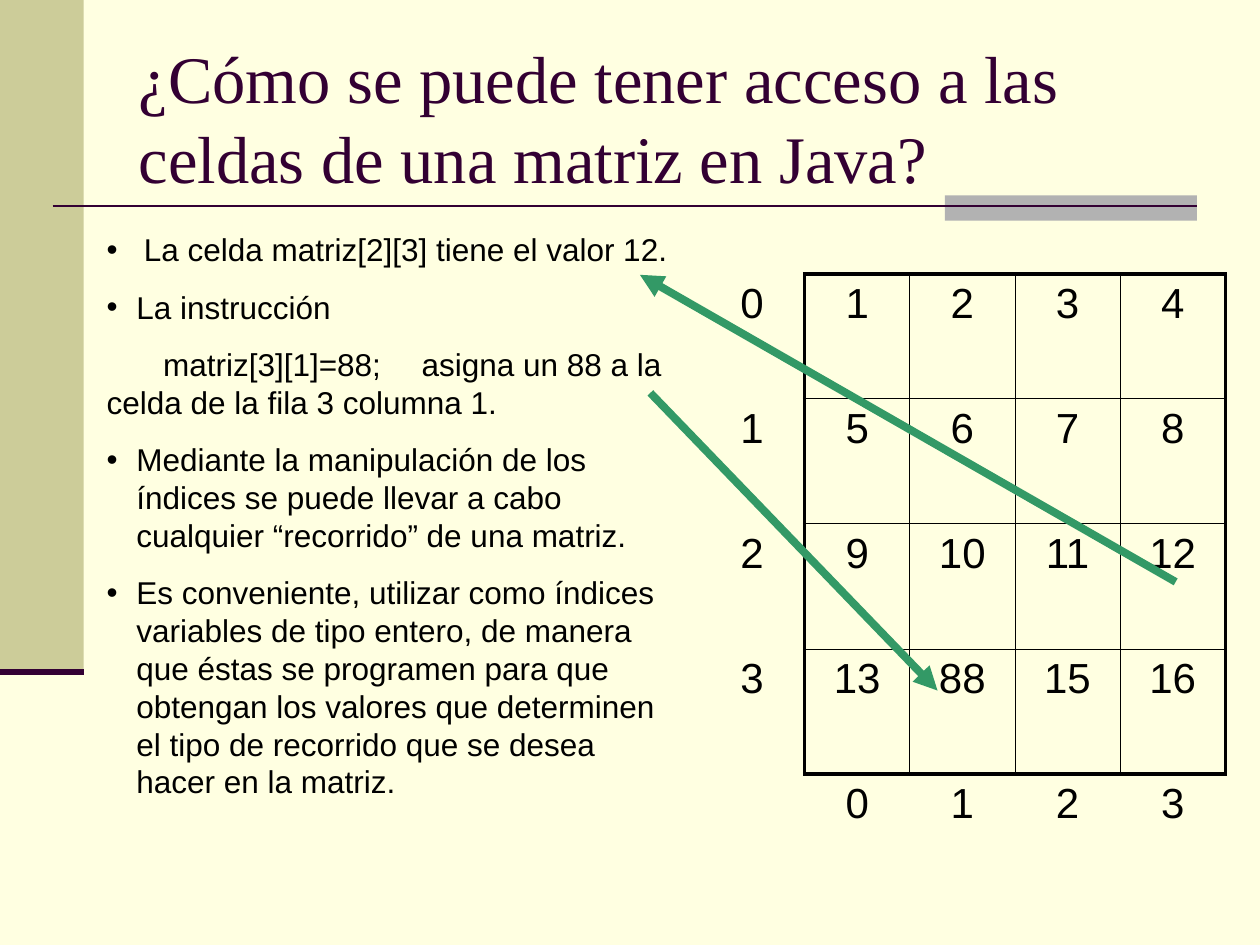
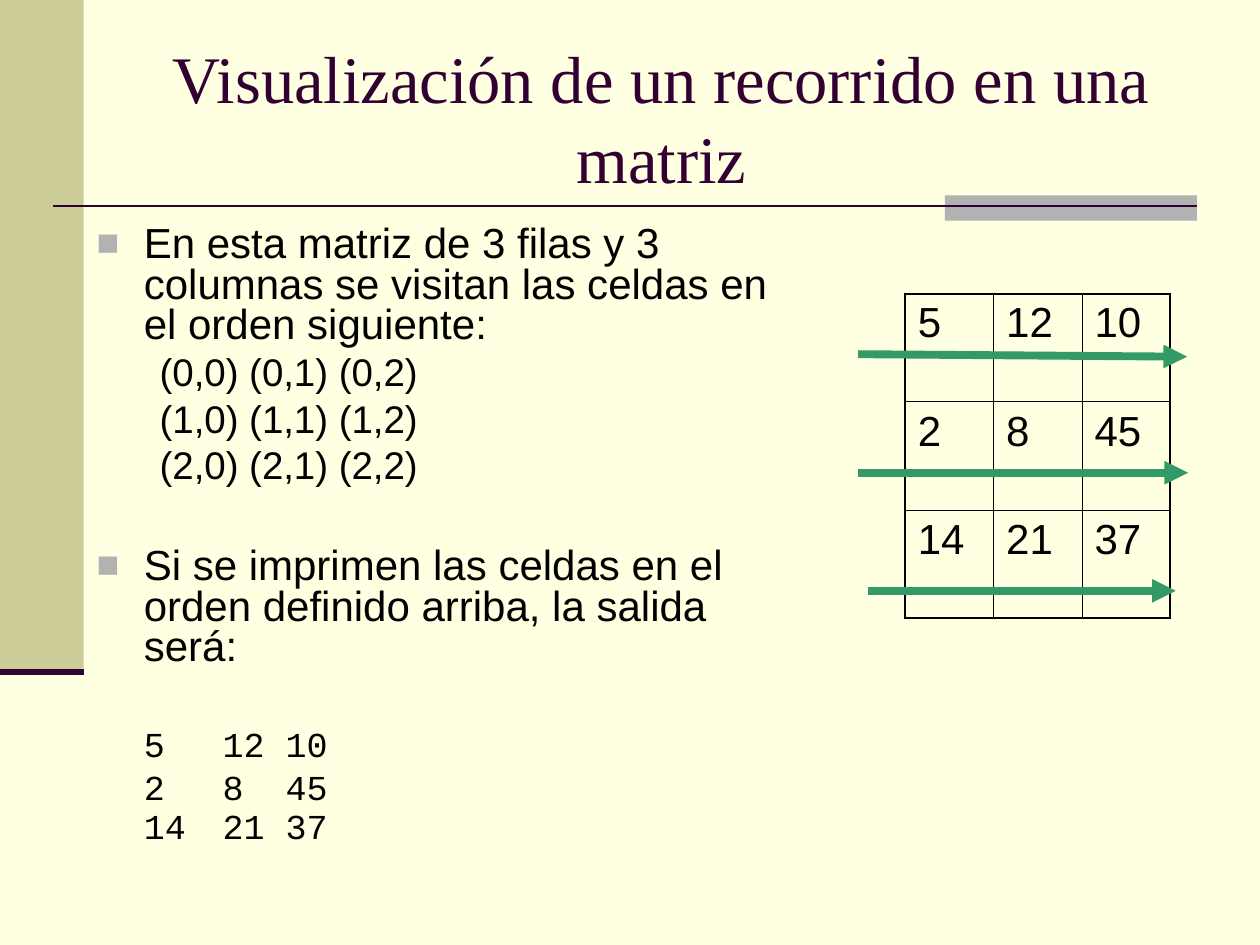
from lxml.etree import SubElement
from pptx import Presentation
from pptx.dml.color import RGBColor
from pptx.enum.shapes import MSO_CONNECTOR, MSO_SHAPE
from pptx.enum.text import MSO_ANCHOR, MSO_AUTO_SIZE, PP_ALIGN
from pptx.oxml.ns import qn
from pptx.util import Cm, Pt

CREAM = RGBColor(0xFF, 0xFF, 0xE1)
OLIVE = RGBColor(0xCC, 0xCC, 0x99)
GREY = RGBColor(0xB2, 0xB2, 0xB2)
PLUM = RGBColor(0x33, 0x00, 0x33)
GREEN = RGBColor(0x33, 0x99, 0x66)
BLACK = RGBColor(0x00, 0x00, 0x00)

LEFT, CENTER = PP_ALIGN.LEFT, PP_ALIGN.CENTER


def add_element(parent, tag, **attributes):
    element = SubElement(parent, qn(tag))
    for name, value in attributes.items():
        element.set(name, str(value))
    return element


def add_line(slide, points, color, width, arrow=False):
    connector = slide.shapes.add_connector(
        MSO_CONNECTOR.STRAIGHT, *[Cm(value) for value in points])
    connector.line.color.rgb = color
    connector.line.width = Pt(width)
    if arrow:
        add_element(connector.line._get_or_add_ln(), "a:tailEnd", type="triangle")
    add_element(connector._element.spPr, "a:effectLst")


# Paragraph kinds: sizes and gaps in points, indents and tab stops in cm
DOT = {"font": "Arial", "size": 18, "line": 21.6, "before": 11.2,
       "margin": 0.6, "indent": -0.6, "bullet": ("•", BLACK, 100), "tabs": []}
WIDE_DOT = {**DOT, "margin": 0.75, "indent": -0.75}
CODE = {**DOT, "margin": 0, "indent": 1.14, "bullet": None, "tabs": [6.05]}
SQUARE = {"font": "Arial", "size": 24, "line": 23.04, "before": 6,
          "margin": 0.95, "indent": -0.95, "bullet": ("■", GREY, 90), "tabs": []}
LATER_SQUARE = {**SQUARE, "before": 35}
PAIRS = {**SQUARE, "size": 22, "line": 21.12, "before": 5.5,
         "margin": 1.27, "indent": 0, "bullet": None}
OUTPUT = {**SQUARE, "font": "Courier New", "size": 20, "line": 19.2, "before": 5,
          "margin": 0, "indent": 0.95, "bullet": None, "tabs": [3.91, 6.02]}
FIRST_OUTPUT = {**OUTPUT, "before": 35}
LAST_OUTPUT = {**OUTPUT, "before": 3.5}

# Slide contents; "grid" gives first column, last column and row count of the framed cells
SLIDES = [
    {
        "title": "¿Cómo se puede tener acceso a las celdas de una matriz en Java?",
        "title_align": LEFT,
        "body_box": (1.9, 4.52, 11.86, 12.9),
        "body": [
            ("La celda matriz[2][3] tiene el valor 12.", WIDE_DOT),
            ("La instrucción", DOT),
            ("matriz[3][1]=88;\tasigna un 88 a la celda de la fila 3 columna 1.", CODE),
            ("Mediante la manipulación de los índices se puede llevar a cabo "
             "cualquier “recorrido” de una matriz.", DOT),
            ("Es conveniente, utilizar como índices variables de tipo entero, de "
             "manera que éstas se programen para que obtengan los valores que "
             "determinen el tipo de recorrido que se desea hacer en la matriz.", DOT),
        ],
        "cells": [
            ["0", "1", "2", "3", "4"],
            ["1", "5", "6", "7", "8"],
            ["2", "9", "10", "11", "12"],
            ["3", "13", "88", "15", "16"],
            ["", "0", "1", "2", "3"],
        ],
        "table_at": (14.1, 5.52),
        "cell_size": (2.12, 2.52),
        "cell_align": CENTER,
        "grid": (1, 5, 4),
        "frame_width": 2.21,
        "arrows": [(23.7, 11.73, 12.9, 5.54), (13.11, 7.92, 18.9, 13.92)],
    },
    {
        "title": "Visualización de un recorrido en una matriz",
        "title_align": CENTER,
        "body_box": (1.7, 4.45, 14.33, 14.6),
        "body": [
            ("En esta matriz de 3 filas y 3 columnas se visitan las celdas en "
             "el orden siguiente:", SQUARE),
            ("(0,0) (0,1) (0,2)", PAIRS),
            ("(1,0) (1,1) (1,2)", PAIRS),
            ("(2,0) (2,1) (2,2)", PAIRS),
            ("Si se imprimen las celdas en el orden definido arriba, la salida "
             "será:", LATER_SQUARE),
            ("5\t12\t10", FIRST_OUTPUT),
            ("2\t8\t45", OUTPUT),
            ("14\t21\t37", LAST_OUTPUT),
        ],
        "cells": [["5", "12", "10"], ["2", "8", "45"], ["14", "21", "37"]],
        "table_at": (18.25, 5.92),
        "cell_size": (1.78, 2.18),
        "cell_align": LEFT,
        "grid": (0, 3, 3),
        "frame_width": 1.08,
        "arrows": [(17.5, 11.91, 23.7, 11.91), (17.3, 7.14, 23.93, 7.19),
                   (17.3, 9.53, 23.95, 9.53)],
    },
]
THIN_WIDTH = 0.45

presentation = Presentation()
presentation.slide_width = Cm(25.4)
presentation.slide_height = Cm(19.05)

for content in SLIDES:
    slide = presentation.slides.add_slide(presentation.slide_layouts[5])
    slide.background.fill.solid()
    slide.background.fill.fore_color.rgb = CREAM

    # Shared bands and rules
    for box, color in [((0, 0, 1.69, 13.55), OLIVE), ((19.05, 3.94, 6.4 - 1.32, 0.51), GREY)]:
        band = slide.shapes.add_shape(MSO_SHAPE.RECTANGLE, *[Cm(value) for value in box])
        band.shadow.inherit = False
        band.fill.solid()
        band.fill.fore_color.rgb = color
        band.line.fill.background()
    add_line(slide, (1.06, 4.15, 24.13, 4.15), PLUM, 1.5)
    add_line(slide, (0, 13.55, 1.69, 13.55), PLUM, 3.5)

    # Title
    title = slide.shapes.title
    title_box = {"left": 2.54, "top": 0.76, "width": 21.59, "height": 3.18}
    for name, value in title_box.items():
        setattr(title, name, Cm(value))
    title.text_frame.text = content["title"]
    frame_format = {"word_wrap": True, "auto_size": MSO_AUTO_SIZE.NONE,
                    "vertical_anchor": MSO_ANCHOR.MIDDLE}
    for name, value in frame_format.items():
        setattr(title.text_frame, name, value)
    paragraph = title.text_frame.paragraphs[0]
    paragraph.alignment = content["title_align"]
    paragraph.line_spacing = Pt(45.6)
    paragraph.font.name = "Times New Roman"
    paragraph.font.size = Pt(38)
    paragraph.font.color.rgb = PLUM

    # Body text
    body = slide.shapes.add_textbox(*[Cm(value) for value in content["body_box"]])
    body.text_frame.word_wrap = True
    for index, (text, kind) in enumerate(content["body"]):
        paragraph = (body.text_frame.add_paragraph() if index
                     else body.text_frame.paragraphs[0])
        run = paragraph.add_run()
        run.text = text
        run.font.name = kind["font"]
        run.font.size = Pt(kind["size"])
        run.font.color.rgb = BLACK
        paragraph_format = {"alignment": LEFT, "line_spacing": Pt(kind["line"]),
                            "space_before": Pt(kind["before"])}
        for name, value in paragraph_format.items():
            setattr(paragraph, name, value)
        properties = paragraph._p.get_or_add_pPr()
        properties.set("marL", str(Cm(kind["margin"])))
        properties.set("indent", str(Cm(kind["indent"])))
        if kind["bullet"]:
            character, color, percent = kind["bullet"]
            add_element(add_element(properties, "a:buClr"), "a:srgbClr", val=color)
            add_element(properties, "a:buSzPct", val=percent * 1000)
            add_element(properties, "a:buFont", typeface="Arial")
            add_element(properties, "a:buChar", char=character)
        else:
            add_element(properties, "a:buNone")
        if kind["tabs"]:
            tab_list = add_element(properties, "a:tabLst")
            for position in kind["tabs"]:
                add_element(tab_list, "a:tab", pos=Cm(position), algn="l")

    # Matrix table
    cells = content["cells"]
    row_count, column_count = len(cells), len(cells[0])
    cell_width, cell_height = [Cm(value) for value in content["cell_size"]]
    left, top = [Cm(value) for value in content["table_at"]]
    table = slide.shapes.add_table(row_count, column_count, left, top,
                                   cell_width * column_count,
                                   cell_height * row_count).table
    table.first_row = table.horz_banding = False
    first_column, end_column, end_row = content["grid"]

    for row, texts in enumerate(cells):
        for column, text in enumerate(texts):
            cell = table.cell(row, column)
            paragraph = cell.text_frame.paragraphs[0]
            paragraph.text = text
            paragraph.alignment = content["cell_align"]
            paragraph.space_before = Pt(6)
            paragraph.font.name = "Arial"
            paragraph.font.size = Pt(24)
            paragraph.font.color.rgb = BLACK

            # Frame edges are thick, inner edges thin, edges outside the grid absent
            in_rows = row < end_row
            in_columns = first_column <= column < end_column
            edges = [
                ("a:lnL", column, first_column, end_column, in_rows),
                ("a:lnR", column + 1, first_column, end_column, in_rows),
                ("a:lnT", row, 0, end_row, in_columns),
                ("a:lnB", row + 1, 0, end_row, in_columns),
            ]
            cell_properties = cell._tc.get_or_add_tcPr()
            for tag, position, start, end, inside in edges:
                width = content["frame_width"] if position in (start, end) else THIN_WIDTH
                border = add_element(cell_properties, tag, w=Pt(width))
                if inside and start <= position <= end:
                    fill = add_element(border, "a:solidFill")
                    add_element(fill, "a:srgbClr", val=BLACK)
                else:
                    add_element(border, "a:noFill")
            cell.fill.background()

    # Arrows over the matrix
    for points in content["arrows"]:
        add_line(slide, points, GREEN, 4.5, arrow=True)

presentation.save("out.pptx")
